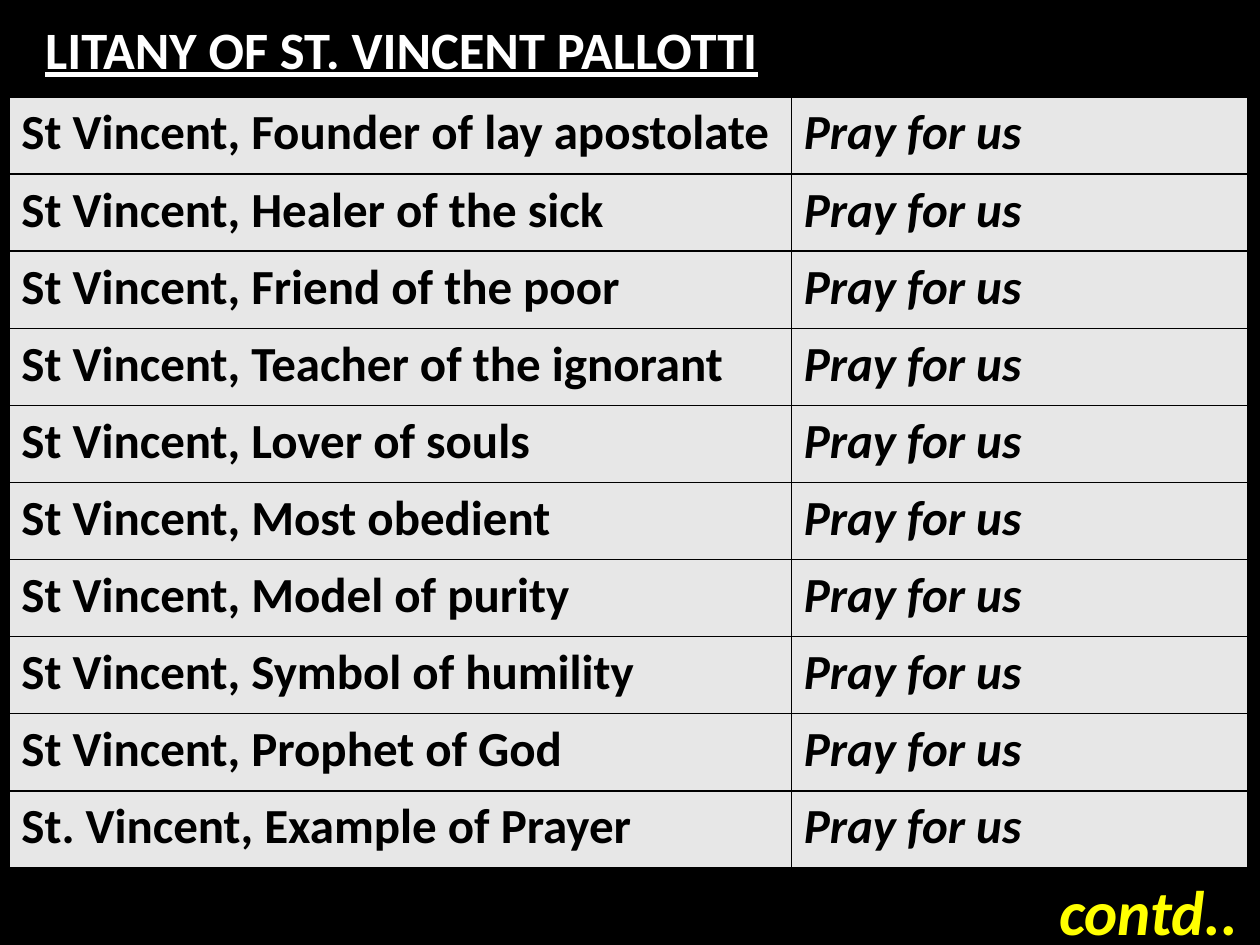
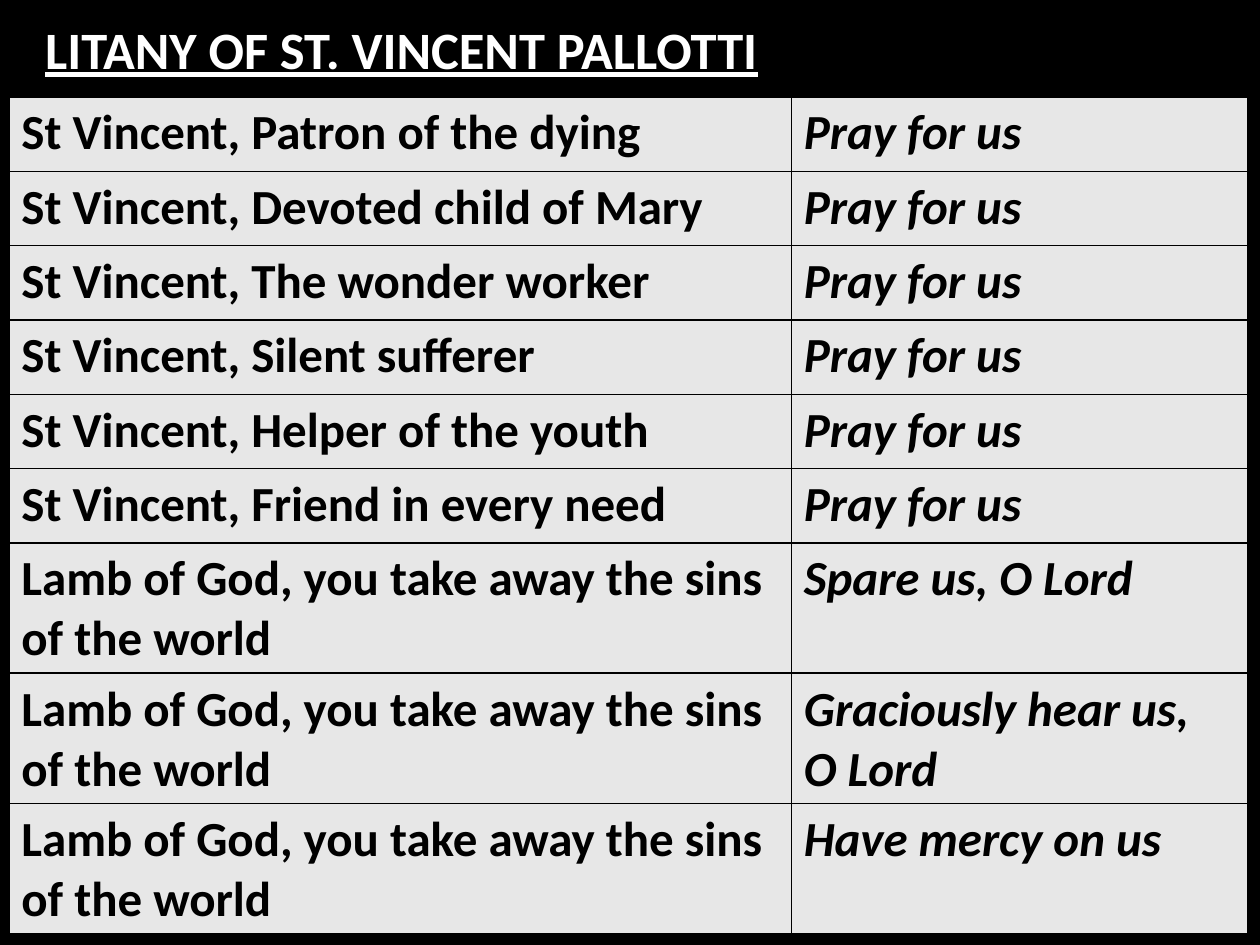
"""Build two slides of the Litany of St. Vincent Pallotti."""
from dataclasses import dataclass

from lxml import etree
from pptx import Presentation
from pptx.dml.color import RGBColor
from pptx.enum.text import MSO_ANCHOR
from pptx.oxml.ns import qn
from pptx.util import Inches, Pt

MIDDLE = MSO_ANCHOR.MIDDLE
BLANK_LAYOUT = 6


@dataclass(frozen=True)
class Theme:
    """Colours, font and type sizes shared by the slides."""
    font: str = "Calibri"
    back: str = "000000"
    title: str = "FFFFFF"
    ink: str = "000000"
    cell: str = "E7E7E7"
    accent: str = "FFFF00"
    title_size: int = 30
    body_size: int = 28
    note_size: int = 36
    border_pt: int = 1


THEME = Theme()
TITLE = "LITANY OF ST. VINCENT PALLOTTI"
PRAY = "Pray for us"
LAMB = "Lamb of God, you take away the sins of the world"
COLUMNS = (6.21, 3.62)
TABLE_LEFT, TABLE_TOP = 0.07, 0.77

VIRTUES = [
    "St Vincent, Founder of lay apostolate",
    "St Vincent, Healer of the sick",
    "St Vincent, Friend of the poor",
    "St Vincent, Teacher of the ignorant",
    "St Vincent, Lover of souls",
    "St Vincent, Most obedient",
    "St Vincent, Model of purity",
    "St Vincent, Symbol of humility",
    "St Vincent, Prophet of God",
    "St. Vincent, Example of Prayer",
]
PATRONAGES = [
    "St Vincent, Patron of the dying",
    "St Vincent, Devoted child of Mary",
    "St Vincent, The wonder worker",
    "St Vincent, Silent sufferer",
    "St Vincent, Helper of the youth",
    "St Vincent, Friend in every need",
]
LAMB_REPLIES = ["Spare us, O Lord", "Graciously hear us,\nO Lord", "Have mercy on us"]


def write(tf, text, *, size, color, italic=False, underline=False, indent=0):
    """Fill a text frame with bold text, one paragraph per line."""
    tf.word_wrap = True
    for i, line in enumerate(text.split("\n")):
        p = tf.paragraphs[0] if i == 0 else tf.add_paragraph()
        if indent:
            p._p.get_or_add_pPr().set("marL", str(Inches(indent)))
        r = p.add_run()
        r.text = line
        font = r.font
        font.name, font.size, font.bold = THEME.font, Pt(size), True
        font.italic, font.underline = italic, underline
        font.color.rgb = RGBColor.from_string(color)


def add_text(s, box, text, *, inset_y=0.05, **fmt):
    """Add a vertically centred text box."""
    tf = s.shapes.add_textbox(*map(Inches, box)).text_frame
    tf.vertical_anchor = MIDDLE
    tf.margin_top = tf.margin_bottom = Inches(inset_y)
    write(tf, text, **fmt)


def set_borders(cell):
    """Draw a solid line on all four sides of a cell."""
    tc_pr = cell._tc.get_or_add_tcPr()
    for i, side in enumerate(("a:lnL", "a:lnR", "a:lnT", "a:lnB")):
        ln = etree.Element(qn(side), w=str(Pt(THEME.border_pt)))
        fill = etree.SubElement(ln, qn("a:solidFill"))
        etree.SubElement(fill, qn("a:srgbClr"), val=THEME.ink)
        tc_pr.insert(i, ln)


def add_litany(s, verses, heights):
    """Add the table of invocations and responses."""
    box = (TABLE_LEFT, TABLE_TOP, sum(COLUMNS), sum(heights))
    table = s.shapes.add_table(len(verses), len(COLUMNS), *map(Inches, box)).table
    table.first_row = table.horz_banding = False
    for column, width in zip(table.columns, COLUMNS):
        column.width = Inches(width)
    for row, verse, height in zip(table.rows, verses, heights):
        row.height = Inches(height)
        for i, (cell, text) in enumerate(zip(row.cells, verse)):
            cell.fill.solid()
            cell.fill.fore_color.rgb = RGBColor.from_string(THEME.cell)
            set_borders(cell)
            write(cell.text_frame, text, size=THEME.body_size, color=THEME.ink, italic=i == 1)


def add_slide(prs, verses, heights):
    """Add a slide with the shared background, title and litany table."""
    s = prs.slides.add_slide(prs.slide_layouts[BLANK_LAYOUT])
    s.background.fill.solid()
    s.background.fill.fore_color.rgb = RGBColor.from_string(THEME.back)
    add_text(s, (TABLE_LEFT, 0, 9.87, TABLE_TOP), TITLE, size=THEME.title_size,
             color=THEME.title, underline=True, indent=0.19)
    add_litany(s, verses, heights)
    return s


def main():
    """Build and save the presentation."""
    prs = Presentation()
    prs.slide_width, prs.slide_height = Inches(10), Inches(7.5)

    verses = [(virtue, PRAY) for virtue in VIRTUES]
    s = add_slide(prs, verses, [6.12 / len(verses)] * len(verses))
    add_text(s, (8.31, 6.95, 1.69, 0.55), "contd..", inset_y=0.1,
             size=THEME.note_size, color=THEME.accent, italic=True)

    verses = [(patronage, PRAY) for patronage in PATRONAGES]
    verses += [(LAMB, reply) for reply in LAMB_REPLIES]
    add_slide(prs, verses, [0.59] * len(PATRONAGES) + [0.99] * len(LAMB_REPLIES))

    prs.save("out.pptx")


if __name__ == "__main__":
    main()
